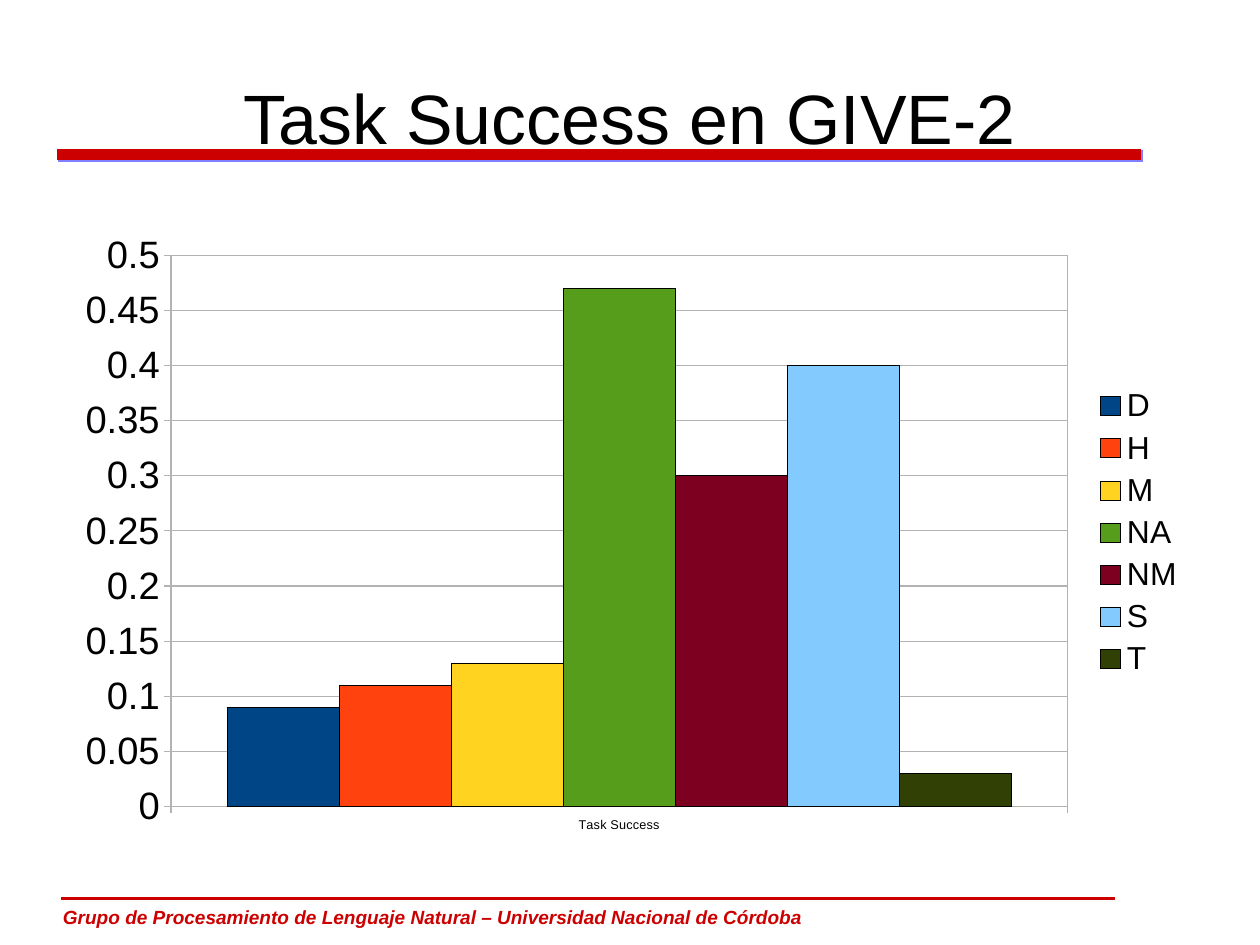
from lxml import etree
from pptx import Presentation
from pptx.chart.data import CategoryChartData
from pptx.dml.color import RGBColor
from pptx.enum.chart import XL_CHART_TYPE, XL_LEGEND_POSITION, XL_TICK_MARK
from pptx.enum.shapes import MSO_CONNECTOR, MSO_SHAPE
from pptx.enum.text import MSO_ANCHOR, MSO_AUTO_SIZE, PP_ALIGN
from pptx.oxml import parse_xml
from pptx.oxml.ns import nsdecls, qn
from pptx.util import Pt

COLUMN = XL_CHART_TYPE.COLUMN_CLUSTERED
RIGHT = XL_LEGEND_POSITION.RIGHT
OUT, NONE = XL_TICK_MARK.OUTSIDE, XL_TICK_MARK.NONE
STRAIGHT, RECT = MSO_CONNECTOR.STRAIGHT, MSO_SHAPE.RECTANGLE
MIDDLE, CENTER = MSO_ANCHOR.MIDDLE, PP_ALIGN.CENTER
FIXED = MSO_AUTO_SIZE.NONE

PX = 9000  # 40 px to the centimetre
RED, BLACK, GRAY, BLUE = "CC0000", "000000", "B3B3B3", "8080FF"

TEAMS = [
    ("D", 0.09, "004586"),
    ("H", 0.11, "FF420E"),
    ("M", 0.13, "FFD320"),
    ("NA", 0.47, "579D1C"),
    ("NM", 0.3, "7E0021"),
    ("S", 0.4, "83CAFF"),
    ("T", 0.03, "314004"),
]


def rgb(code):
    return RGBColor.from_string(code)


def emu(*sizes):
    return [size * PX for size in sizes]


class Deck:
    face = "Arial"

    def __init__(self, wide, high):
        self.prs = Presentation()
        self.prs.slide_width, self.prs.slide_height = emu(wide, high)
        self.slide = self.prs.slides.add_slide(self.prs.slide_layouts[5])
        self.shapes = self.slide.shapes

    def font(self, font, size, color=BLACK, bold=False, slant=False):
        font.name, font.size = self.face, Pt(size)
        font.bold, font.italic = bold, slant
        font.color.rgb = rgb(color)

    def line(self, line, color, width=0):
        line.color.rgb = rgb(color)
        line.width = Pt(width)

    def bar(self, x, y, w, h, color, shade):
        bar = self.shapes.add_shape(RECT, *emu(x, y, w, h))
        bar.fill.solid()
        bar.fill.fore_color.rgb = rgb(color)
        self.line(bar.line, color, 1)
        bar.shadow.inherit = False
        node = bar._element
        # Drop the theme style, so that only this shadow counts
        node.remove(node.find(qn("p:style")))
        etree.SubElement(node.spPr.find(qn("a:ln")), qn("a:miter"), lim="800000")
        node.spPr.find(qn("a:effectLst")).append(parse_xml(
            f'<a:outerShdw {nsdecls("a")} blurRad="0" dist="17780" dir="2700000" '
            f'algn="tl" rotWithShape="0"><a:srgbClr val="{shade}"/></a:outerShdw>'))

    def rule(self, x, y, end, color, width):
        rule = self.shapes.add_connector(STRAIGHT, *emu(x, y, end, y))
        self.line(rule.line, color, width)
        etree.SubElement(rule._element.spPr, qn("a:effectLst"))

    def text(self, x, y, w, h, words, size, color):
        frame = self.shapes.add_textbox(*emu(x, y, w, h)).text_frame
        frame.word_wrap = True
        frame.text = words
        self.font(frame.paragraphs[0].runs[0].font, size, color, True, True)

    def title(self, x, y, w, h, words, size):
        title = self.shapes.title
        title.left, title.top, title.width, title.height = emu(x, y, w, h)
        frame = title.text_frame
        frame.margin_left = frame.margin_right = 0
        frame.margin_top = frame.margin_bottom = 0
        frame.vertical_anchor, frame.auto_size = MIDDLE, FIXED
        frame.text = words
        frame.paragraphs[0].alignment = CENTER
        self.font(frame.paragraphs[0].runs[0].font, size)
        # Bring the title in front of the bar
        self.shapes._spTree.append(title._element)

    def axis(self, axis, size):
        axis.major_tick_mark, axis.minor_tick_mark = OUT, NONE
        self.font(axis.tick_labels.font, size)
        self.line(axis.format.line, GRAY)

    def plot(self, chart, x, y, w, h):
        area = chart._chartSpace.chart.plotArea
        for old in area.findall(qn("c:layout")):
            area.remove(old)
        spots = "".join(f'<c:{key} val="{val}"/>' for key, val in
                        zip("xywh", (x, y, w, h)))
        area.insert(0, parse_xml(
            f'<c:layout {nsdecls("c")}><c:manualLayout>'
            '<c:layoutTarget val="inner"/><c:xMode val="edge"/>'
            f'<c:yMode val="edge"/>{spots}</c:manualLayout></c:layout>'))
        area.append(parse_xml(
            f'<c:spPr {nsdecls("c", "a")}><a:noFill/><a:ln w="0"><a:solidFill>'
            f'<a:srgbClr val="{GRAY}"/></a:solidFill></a:ln></c:spPr>'))

    def chart(self, x, y, w, h, inner, label, teams):
        data = CategoryChartData()
        data.categories = [label]
        for name, value, _ in teams:
            data.add_series(name, [value])
        chart = self.shapes.add_chart(COLUMN, *emu(x, y, w, h), data).chart
        chart.has_title = False
        self.font(chart.font, 10)

        # Columns
        plot = chart.plots[0]
        plot.gap_width, plot.overlap = 100, 0
        plot.vary_by_categories = False
        for item, (_, _, color) in zip(plot.series, teams):
            item.format.fill.solid()
            item.format.fill.fore_color.rgb = rgb(color)
            self.line(item.format.line, BLACK)

        # Axes
        self.axis(chart.category_axis, 8)
        scale = chart.value_axis
        self.axis(scale, 24)
        scale.minimum_scale, scale.maximum_scale = 0, 0.5
        scale.major_unit = 0.05
        scale.has_major_gridlines = True
        self.line(scale.major_gridlines.format.line, GRAY)

        # Legend
        chart.has_legend = True
        chart.legend.position = RIGHT
        chart.legend.include_in_layout = False
        self.font(chart.legend.font, 20)

        # Plot area, as shares of the chart
        left, top, wide, high = inner
        self.plot(chart, (left - x) / w, (top - y) / h, wide / w, high / h)


def main():
    deck = Deck(1120, 840)
    # Frame
    deck.bar(51, 133, 963, 9, RED, BLUE)
    deck.rule(991, 799, 54, RED, 2)
    deck.text(46, 800, 722, 30, "Grupo de Procesamiento de Lenguaje Natural – "
              "Universidad Nacional de Córdoba", 12, RED)
    # Content
    deck.title(56, 34, 1008, 140, "Task Success en GIVE-2", 44)
    deck.chart(56, 196, 1008, 555, (152, 227, 797, 490), "Task Success", TEAMS)
    deck.prs.save("out.pptx")


if __name__ == "__main__":
    main()
